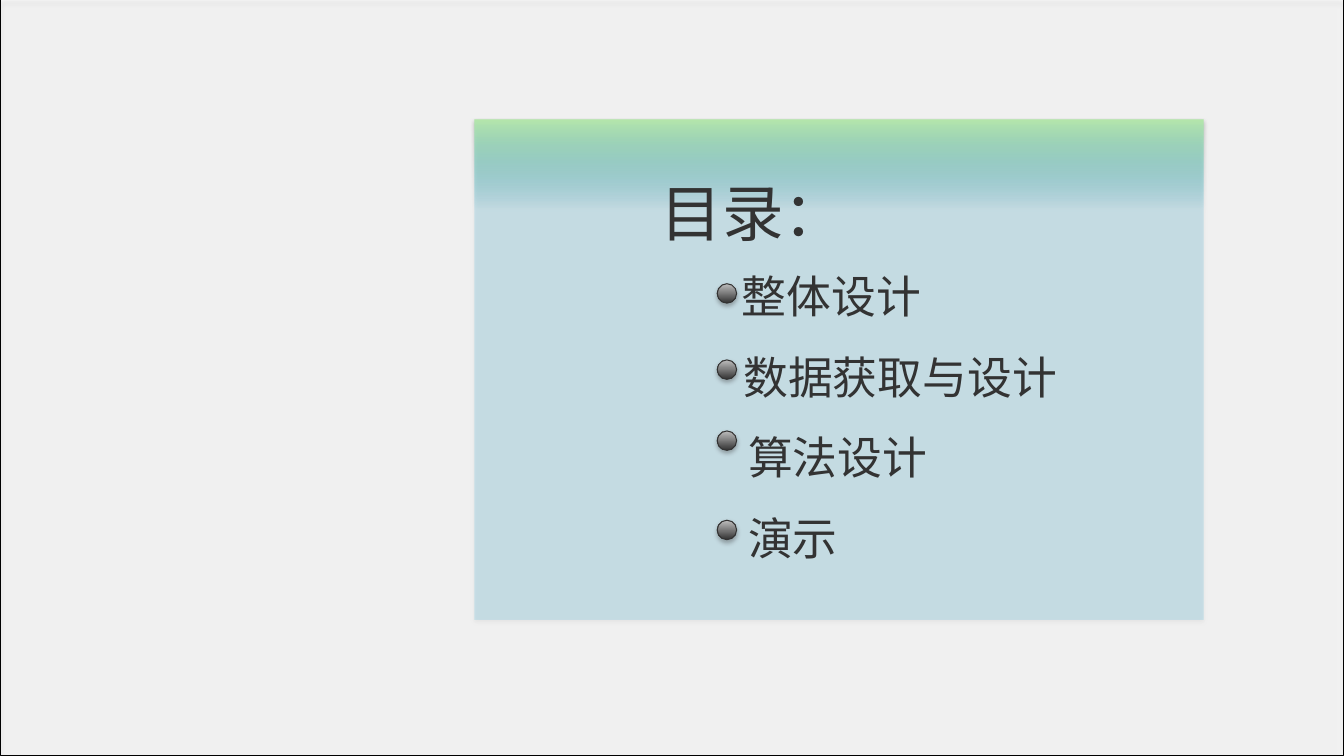
from lxml import etree
from pptx import Presentation
from pptx.dml.color import RGBColor
from pptx.enum.shapes import MSO_SHAPE
from pptx.oxml import parse_xml
from pptx.oxml.ns import nsdecls, qn
from pptx.util import Cm, Pt

COLORS = {
    "ink": "000000",
    "white": "FFFFFF",
    "panel_blue": "0CAFE2",
    "panel_green": "B0F2A3",
    "bullet_light": "BDBDBD",
}
FONT = "TeX Gyre Adventor"
WIDTH, HEIGHT = 33.88, 19.05

# Wording, text indent and bullet offset from the panel top, in cm
AGENDA = [
    ("整体设计", 2.04, 4.13),
    ("数据获取与设计", 2.08, 6.05),
    ("算法设计", 2.2, 7.84),
    ("演示", 2.2, 10.09),
]


def set_opacity(color_element, percent):
    alpha = etree.SubElement(color_element, qn("a:alpha"))
    alpha.set("val", str(percent * 1000))


def add_soft_shadow(shape):
    shape._element.spPr.append(parse_xml(
        f'<a:effectLst {nsdecls("a")}>'
        '<a:outerShdw blurRad="39370" dist="22860" dir="5400000" rotWithShape="0">'
        f'<a:srgbClr val="{COLORS["ink"]}"><a:alpha val="35000"/></a:srgbClr>'
        '</a:outerShdw></a:effectLst>'))


def add_shaded_shape(slide, preset, left, top, width, height, outlined=True):
    shape = slide.shapes.add_shape(preset, Cm(left), Cm(top), Cm(width), Cm(height))
    if outlined:
        shape.line.color.rgb = RGBColor.from_string(COLORS["ink"])
        shape.line.width = Pt(0.75)
    else:
        shape.line.fill.background()
    add_soft_shadow(shape)
    return shape


def fill_upward_gradient(shape, bottom, top, start=0):
    """Blend from bottom to top, and return the colour element of each stop."""
    shape.fill.gradient()
    shape.fill.gradient_angle = 90
    stops = shape.fill.gradient_stops
    for stop, position, color in zip(stops, (start, 1), (bottom, top)):
        stop.position = position
        stop.color.rgb = RGBColor.from_string(COLORS[color])
    return list(shape._element.spPr.iter(qn("a:srgbClr")))[:2]


def style_paragraph(paragraph, size, spacing=1.0, indent=0):
    properties = paragraph._p.get_or_add_pPr()
    properties.set("marL", str(Cm(indent)))
    properties.set("indent", "0")
    paragraph.line_spacing = spacing
    font = paragraph.font
    font.name = FONT
    font.size = Pt(size)
    font.color.rgb = RGBColor.from_string(COLORS["ink"])


def add_agenda_text(slide, left, top, width, height):
    text_frame = slide.shapes.add_textbox(
        Cm(left), Cm(top), Cm(width), Cm(height)).text_frame
    text_frame.word_wrap = True
    title = text_frame.paragraphs[0]
    title.text = "目录："
    title.space_after = Pt(14)
    style_paragraph(title, 44)
    for index, (wording, indent, _) in enumerate(AGENDA):
        paragraph = text_frame.add_paragraph()
        paragraph.text = wording
        style_paragraph(paragraph, 32, 1.5 if index else 1.0, indent)


def add_agenda_panel(slide, left, top, width, height):
    # Tinted panel
    panel = add_shaded_shape(slide, MSO_SHAPE.RECTANGLE, left, top, width, height,
                             outlined=False)
    blue, _ = fill_upward_gradient(panel, "panel_blue", "panel_green", start=0.82)
    set_opacity(blue, 18)

    # Title and entries
    add_agenda_text(slide, left + 4.45, top + 1.27, 11.94, 11.2)

    # Round bullets
    for _, _, offset in AGENDA:
        bullet = add_shaded_shape(slide, MSO_SHAPE.FLOWCHART_CONNECTOR,
                                  left + 6.12, top + offset, 0.49, 0.49)
        fill_upward_gradient(bullet, "ink", "bullet_light")


def add_veil(slide, left, top, width, height):
    veil = add_shaded_shape(slide, MSO_SHAPE.RECTANGLE, left, top, width, height)
    veil.fill.solid()
    veil.fill.fore_color.rgb = RGBColor.from_string(COLORS["white"])
    set_opacity(veil._element.spPr.find(qn("a:solidFill"))[0], 20)


def main():
    presentation = Presentation()
    presentation.slide_width = Cm(WIDTH)
    presentation.slide_height = Cm(HEIGHT)
    slide = presentation.slides.add_slide(presentation.slide_layouts[6])
    add_agenda_panel(slide, 11.96, 3.02, 18.39, 12.59)
    add_veil(slide, 0.01, 0, WIDTH - 0.01, HEIGHT)
    presentation.save("out.pptx")


if __name__ == "__main__":
    main()
